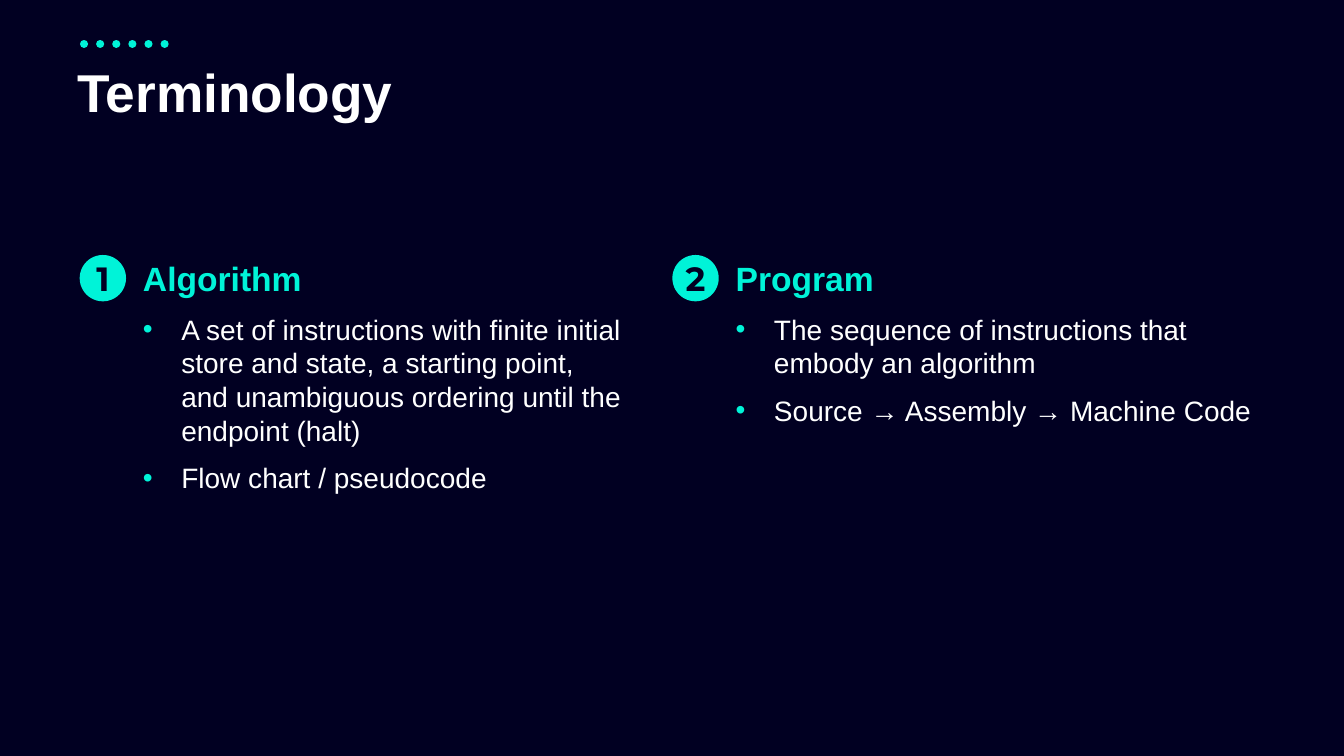
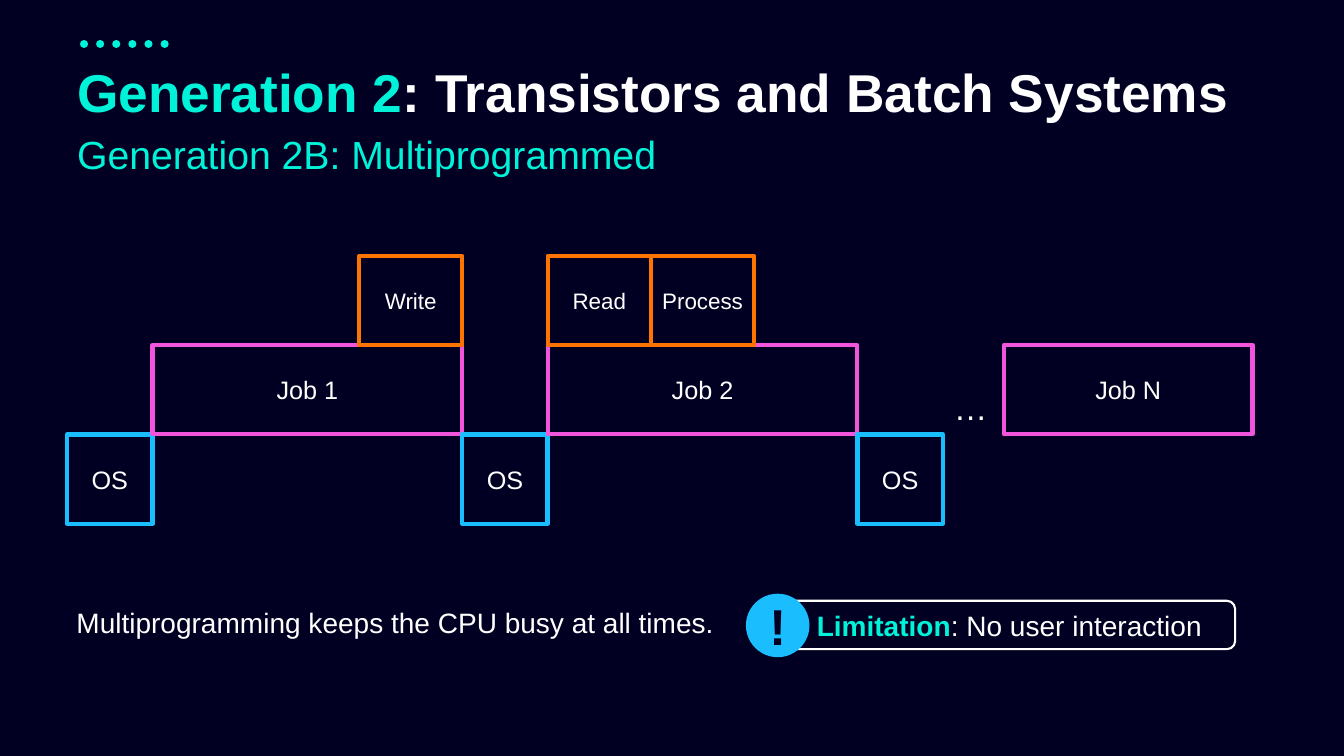
import pptx
import pptx.util
import pptx.dml.color
import pptx.enum.dml
import pptx.enum.shapes
import pptx.enum.text
import pptx.oxml.ns
import lxml.etree

Inches, Pt = pptx.util.Inches, pptx.util.Pt
RGB = pptx.dml.color.RGBColor.from_string
SHAPE = pptx.enum.shapes.MSO_SHAPE
ALIGN = pptx.enum.text.PP_ALIGN
ANCHOR = pptx.enum.text.MSO_ANCHOR
qn = pptx.oxml.ns.qn

COLORS = {
    "night": "010022", "white": "FFFFFF", "teal": "00F3D8",
    "blue": "1ABEFF", "pink": "F155DC", "orange": "FF7300",
}

prs = pptx.Presentation()
prs.slide_width, prs.slide_height = Inches(13.33), Inches(7.5)
COL, ROW = prs.slide_width / 100, prs.slide_height / 100
SQUARE = COL / ROW  # rows in the height of one column's width

bg = prs.slide_master.background.fill
bg.solid()
bg.fore_color.rgb = RGB(COLORS["night"])


def add_box(s, x, y, w, h, kind=None, fill=None, line=None, weight=3, insets=None):
    """Add a text box, or a shape of the given kind, placed in columns and rows; return its text frame."""
    at = [int(x * COL), int(y * ROW), int(w * COL), int(h * ROW)]
    if kind is None:
        sp = s.shapes.add_textbox(*at)
    else:
        sp = s.shapes.add_shape(kind, *at)
        sp.shadow.inherit = False
        if fill:
            sp.fill.solid()
            sp.fill.fore_color.rgb = RGB(COLORS[fill])
        else:
            sp.fill.background()
        if line:
            sp.line.color.rgb = RGB(COLORS[line])
            sp.line.width = Pt(weight)
        else:
            sp.line.fill.background()
    tf = sp.text_frame
    tf.word_wrap = True
    tf.vertical_anchor = ANCHOR.MIDDLE if kind else ANCHOR.TOP
    if insets:
        tf.margin_left, tf.margin_top, tf.margin_right, tf.margin_bottom = map(Inches, insets)
    return tf


def write(tf, text, size=20, color="white", bold=False, font="Arial",
          align=ALIGN.LEFT, spacing=1.0, before=0, bullet=False, join=False):
    """Write text as a new paragraph, or as a further run of the last one if join is set."""
    p = tf.paragraphs[-1]
    if not join:
        if p.runs:
            p = tf.add_paragraph()
        p.alignment, p.line_spacing, p.space_before = align, spacing, Pt(before)
        if bullet:
            pPr = p._p.get_or_add_pPr()
            pPr.set("marL", str(Inches(0.38)))
            pPr.set("indent", str(-Inches(0.38)))
            clr = lxml.etree.SubElement(pPr, qn("a:buClr"))
            lxml.etree.SubElement(clr, qn("a:srgbClr"), val=COLORS["teal"])
            lxml.etree.SubElement(pPr, qn("a:buFont"), typeface="Arial")
            lxml.etree.SubElement(pPr, qn("a:buChar"), char="•")
    r = p.add_run()
    r.text = text
    r.font.name, r.font.size, r.font.bold = font, Pt(size), bold
    r.font.color.rgb = RGB(COLORS[color])


# Dotted mark and title of every slide
titles = [
    [("Terminology", "white")],
    [("Generation 2", "teal"), (": Transistors and Batch Systems", "white")],
]
for title in titles:
    s = prs.slides.add_slide(prs.slide_layouts[6])
    y = int(5.8 * ROW)
    dots = s.shapes.add_connector(pptx.enum.shapes.MSO_CONNECTOR.STRAIGHT,
                                  int(6.25 * COL), y, int(12.5 * COL), y)
    dots.line.color.rgb = RGB(COLORS["teal"])
    dots.line.width = Pt(5.75)
    dots.line.dash_style = pptx.enum.dml.MSO_LINE.ROUND_DOT
    dots.line._get_or_add_ln().set("cap", "rnd")
    lxml.etree.SubElement(dots._element.spPr, qn("a:effectLst"))
    tf = add_box(s, 5, 8.13, 88.2, 9.07)
    for i, (text, color) in enumerate(title):
        write(tf, text, size=38, color=color, bold=True, spacing=0.9, join=i > 0)

terms_slide, batch_slide = prs.slides

# Terminology: two numbered columns
terms = [
    ("Algorithm", [
        "A set of instructions with finite initial store and state, a starting point, "
        "and unambiguous ordering until the endpoint (halt)",
        "Flow chart / pseudocode",
    ], 37.6),
    ("Program", [
        "The sequence of instructions that embody an algorithm",
        "Source → Assembly → Machine Code",
    ], 40.1),
]
badge = 3.45
for i, (term, points, width) in enumerate(terms):
    x = 5.93 + 44.1 * i
    tf = add_box(terms_slide, x + 3.97, 33.47, width, 33)
    write(tf, term, size=24, color="teal", bold=True)
    for point in points:
        write(tf, point, before=10, bullet=True)
    tf = add_box(terms_slide, x, 33.73, badge, badge * SQUARE, SHAPE.OVAL,
                 fill="teal", insets=(0, 0, 0, 0))
    write(tf, str(i + 1), size=24, color="night", bold=True,
          font="Montserrat", align=ALIGN.CENTER)

# Batch systems: timeline with one row each for I/O, jobs and the OS
s = batch_slide
tf = add_box(s, 5, 17.33, 88.2, 10.4, insets=(0.1, 0.05, 0.1, 0.3))
write(tf, "Generation 2B: Multiprogrammed", size=28, color="teal", spacing=0.9)

top, lane = 33.87, 11.8
os_w, job_w = 6.35, 23.05
io_w = job_w / 3
os_x = [5 + i * (os_w + job_w) for i in range(3)]
job_x = [x + os_w for x in os_x]

lanes = [("orange", 16), ("pink", 18), ("blue", 18)]
blocks = [
    ("OS", 2, os_x[0], os_w),
    ("Job 1", 1, job_x[0], job_w),
    ("OS", 2, os_x[1], os_w),
    ("Job 2", 1, job_x[1], job_w),
    ("OS", 2, os_x[2], os_w),
    ("Job N", 1, 74.7, 18.5),
    ("Read", 0, job_x[1], io_w),
    ("Process", 0, job_x[1] + io_w, io_w),
    ("Write", 0, os_x[1] - io_w, io_w),
]
for text, row, x, width in blocks:
    color, size = lanes[row]
    tf = add_box(s, x, top + row * lane, width, lane, SHAPE.RECTANGLE,
                 line=color, insets=(0.05, 0.05, 0.05, 0.05))
    write(tf, text, size=size, align=ALIGN.CENTER)

tf = add_box(s, 70.2, 50.5, 4.05, 6.67, insets=(0, 0.05, 0, 0.05))
write(tf, "…", size=24, align=ALIGN.CENTER)

# Batch systems: conclusion and limitation
tf = add_box(s, 4.95, 79.47, 49.1, 5.87)
write(tf, "Multiprogramming keeps the CPU busy at all times.")

tf = add_box(s, 57.6, 79.47, 34.3, 6.4, SHAPE.ROUNDED_RECTANGLE,
             line="white", weight=1.5, insets=(0.4, 0.05, 0.2, 0.05))
write(tf, "Limitation", color="teal", bold=True)
write(tf, ": No user interaction", join=True)

alert = 4.73
tf = add_box(s, 55.5, 78.53, alert, alert * SQUARE, SHAPE.OVAL,
             fill="blue", insets=(0, 0.05, 0, 0.05))
write(tf, "!", size=36, color="night", bold=True, align=ALIGN.CENTER)

prs.save("out.pptx")
